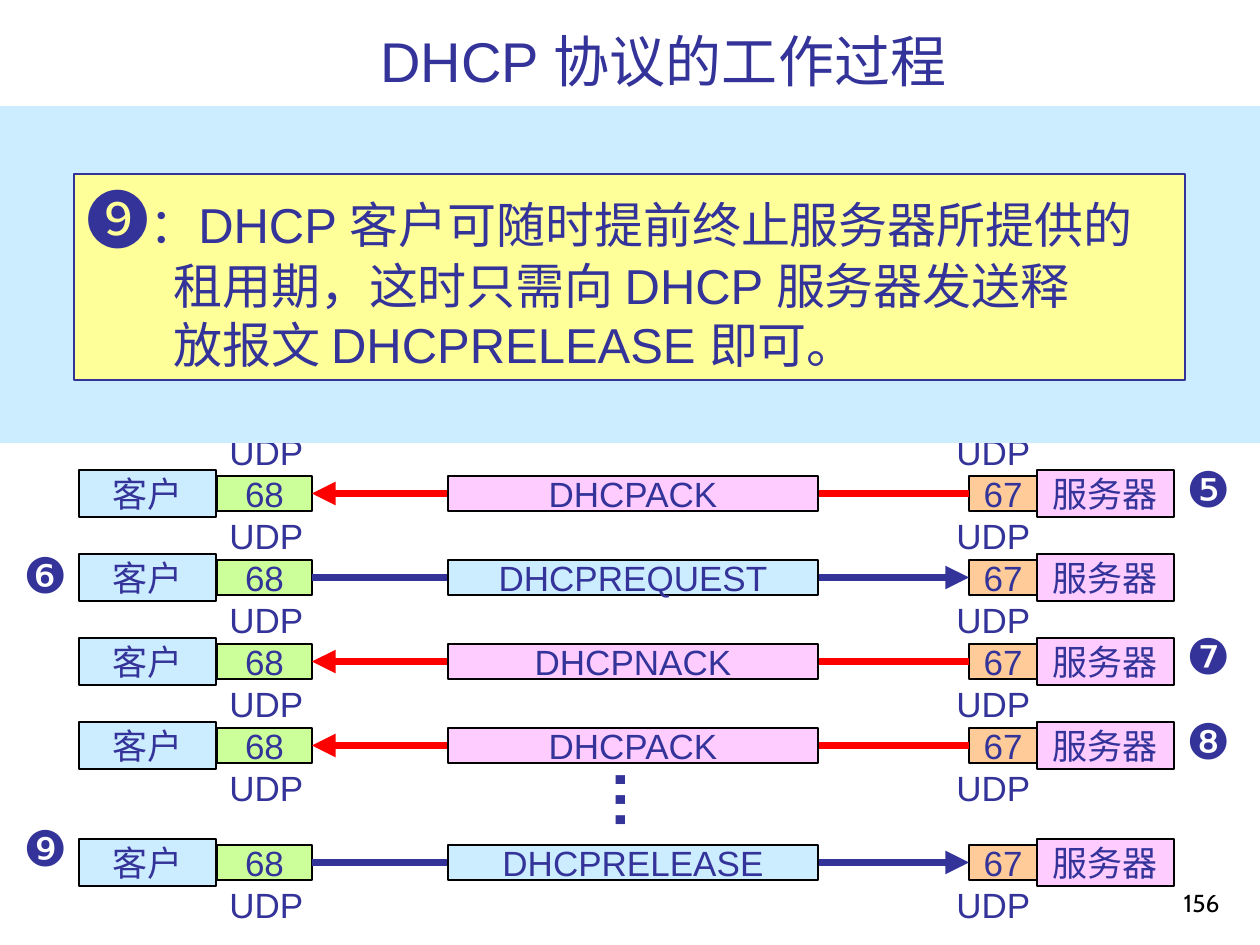
from pptx import Presentation, util as u
from pptx.dml.color import RGBColor
from pptx.enum import shapes, text
from pptx.oxml.ns import qn
from lxml import etree

SCALE = 914400 / 126
INK, BLACK, RED = "333399", "000000", "FF0000"
BLUE, PINK, GREEN, ORANGE, YELLOW = "CCECFF", "FFCCFF", "CCFF99", "FFCC99", "FFFF99"

FIRST_ROW, ROW_STEP, LAST_ROW = 493, 84, 862
LEFT_BADGE, RIGHT_BADGE = 11, 1174
MESSAGES = [
    ("DHCPACK", False, "❺", 452),
    ("DHCPREQUEST", True, "❻", 538),
    ("DHCPNACK", False, "❼", 619),
    ("DHCPACK", False, "❽", 704),
    ("DHCPRELEASE", True, "❾", 811),
]


def px(value):
    return u.Emu(round(value * SCALE))


def colour(value):
    return RGBColor.from_string(value)


class Slide:
    font = "Arial"
    size = 20

    def __init__(self, deck):
        self.page = deck.slides.add_slide(deck.slide_layouts[5])

    def place(self, item, left, top, width, height):
        item.left, item.top = px(left), px(top)
        item.width, item.height = px(width), px(height)

    def style(self, font, size=None, ink=INK, name=None, bold=False):
        font.name = name or self.font
        font.size = u.Pt(size or self.size)
        font.bold = bold
        font.color.rgb = colour(ink)

    def title(self, words, *area):
        box = self.page.shapes.title
        self.place(box, *area)
        frame = box.text_frame
        frame.text = words
        frame.vertical_anchor = text.MSO_ANCHOR.BOTTOM
        para = frame.paragraphs[0]
        para.alignment = text.PP_ALIGN.CENTER
        self.style(para.font, 32)

    def label(self, words, *area, align=text.PP_ALIGN.LEFT,
              anchor=text.MSO_ANCHOR.TOP, **look):
        box = self.page.shapes.add_textbox(*map(px, area))
        frame = box.text_frame
        frame.word_wrap = False
        frame.vertical_anchor = anchor
        para = frame.paragraphs[0]
        para.text = words
        para.alignment = align
        self.style(para.font, **look)
        return box

    def rectangle(self, fill, *area, line=None, words=None):
        box = self.page.shapes.add_shape(shapes.MSO_SHAPE.RECTANGLE, *map(px, area))
        box.shadow.inherit = False
        box.fill.solid()
        box.fill.fore_color.rgb = colour(fill)
        if line:
            box.line.color.rgb = colour(line)
            box.line.width = u.Pt(0.75)
        else:
            box.line.fill.background()
        if words:
            frame = box.text_frame
            frame.word_wrap = False
            frame.vertical_anchor = text.MSO_ANCHOR.MIDDLE
            para = frame.paragraphs[0]
            para.text = words
            para.alignment = text.PP_ALIGN.CENTER
            self.style(para.font)
        return box

    def arrow(self, start, start_side, end, end_side, ink):
        line = self.page.shapes.add_connector(shapes.MSO_CONNECTOR.STRAIGHT, 0, 0, 0, 0)
        line.begin_connect(start, start_side)
        line.end_connect(end, end_side)
        line.line.color.rgb = colour(ink)
        line.line.width = u.Pt(4.5)
        etree.SubElement(line.line._get_or_add_ln(), qn("a:tailEnd"), type="triangle")
        etree.SubElement(line._element.spPr, qn("a:effectLst"))

    def udp_pair(self, top):
        for left in (217, 944):
            self.label("UDP", left, top, 100, 55)

    def exchange(self, centre, message, from_client):
        outer, inner = centre - 23, centre - 17
        self.rectangle(BLUE, 79, outer, 137, 47, line=BLACK, words="客户")
        self.rectangle(PINK, 1037, outer, 137, 47, line=BLACK, words="服务器")
        client = self.rectangle(GREEN, 217, inner, 95, 35, line=BLACK, words="68")
        server = self.rectangle(ORANGE, 969, inner, 68, 35, line=BLACK, words="67")
        if from_client:
            self.arrow(client, 3, server, 1, INK)
        else:
            self.arrow(server, 1, client, 3, RED)
        fill = BLUE if from_client else PINK
        self.rectangle(fill, 448, inner, 370, 35, line=BLACK, words=message)
        self.udp_pair(centre + 15)

    def note(self, badge, lines, indent, *area):
        box = self.rectangle(YELLOW, *area, line=INK)
        frame = box.text_frame
        frame.word_wrap = True
        frame.vertical_anchor = text.MSO_ANCHOR.TOP
        for index, words in enumerate(lines):
            para = frame.paragraphs[0] if index == 0 else frame.add_paragraph()
            para.alignment = text.PP_ALIGN.JUSTIFY
            if index == 0:
                span = para.add_run()
                span.text = badge
                span.font.size = u.Pt(36)
            else:
                para._p.get_or_add_pPr().set("marL", str(px(indent)))
            para.add_run().text = words
            self.style(para.font, 28)


def main():
    deck = Presentation()
    deck.slide_width, deck.slide_height = px(1260), px(945)
    slide = Slide(deck)
    slide.title("DHCP 协议的工作过程", 127, 26, 1073, 74)

    slide.udp_pair(FIRST_ROW + 15 - ROW_STEP)
    centres = [FIRST_ROW + ROW_STEP * row for row in range(4)] + [LAST_ROW]
    for centre, (message, from_client, badge, top) in zip(centres, MESSAGES):
        slide.exchange(centre, message, from_client)
        left = LEFT_BADGE if from_client else RIGHT_BADGE
        slide.label(badge, left, top, 69, 72, size=28)

    dots = slide.label("…", 556, 756, 88, 88, size=36, bold=True)
    dots.rotation = 270

    slide.rectangle(BLUE, 0, 106, 1260, 337)
    slide.note("❾", [
        "：DHCP 客户可随时提前终止服务器所提供的",
        "租用期，这时只需向 DHCP 服务器发送释",
        "放报文 DHCPRELEASE 即可。",
    ], 87, 74, 174, 1111, 206)
    slide.label("156", 970, 861, 262, 63, align=text.PP_ALIGN.RIGHT,
                anchor=text.MSO_ANCHOR.BOTTOM, size=14, ink=BLACK, name="Cabin")
    deck.save("out.pptx")


if __name__ == "__main__":
    main()
